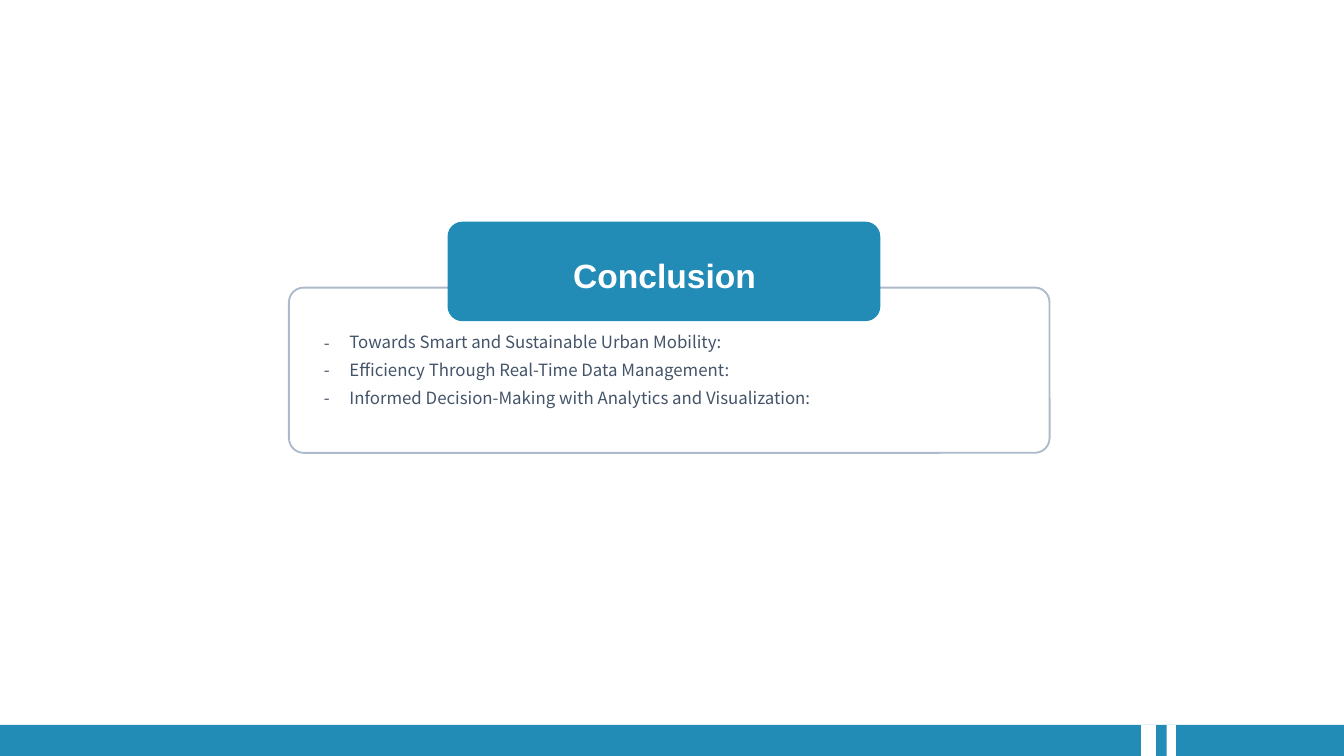
from lxml import etree
from pptx import Presentation
from pptx import util as u
from pptx.dml.color import RGBColor
from pptx.enum import shapes, text
from pptx.oxml.ns import qn

BLUE, WHITE, BORDER, INK = "228BB6", "FFFFFF", "ADBACA", "445469"
BODY_FONT = "Noto Sans CJK SC"
TITLE = "Conclusion"
POINTS = [
    "Towards Smart and Sustainable Urban Mobility:",
    "Efficiency Through Real-Time Data Management:",
    "Informed Decision-Making with Analytics and Visualization:",
]
PAGE_WIDTH = 10
PAGE_HEIGHT = PAGE_WIDTH * 9 / 16
BAR_HEIGHT = 0.23
BAR_TOP = PAGE_HEIGHT - BAR_HEIGHT
STRIPES = [(8.49, 0.11), (8.68, 0.07)]
FRAME = (2.15, 2.14, 5.66, 1.23)
BADGE = (3.33, 1.65, 3.22, 0.74)
CORNER = 0.11


def color(value):
    return RGBColor.from_string(value)


def place(shape, left, top, width, height):
    shape.left, shape.top = u.Inches(left), u.Inches(top)
    shape.width, shape.height = u.Inches(width), u.Inches(height)


def add_box(page, area, fill=None, line=None, radius=0):
    kind = shapes.MSO_SHAPE.ROUNDED_RECTANGLE if radius else shapes.MSO_SHAPE.RECTANGLE
    box = page.shapes.add_shape(kind, *map(u.Inches, area))
    box.shadow.inherit = False
    if radius:
        box.adjustments[0] = radius / min(area[2:])
    if fill:
        box.fill.solid()
        box.fill.fore_color.rgb = color(fill)
    else:
        box.fill.background()
    if line:
        box.line.color.rgb = color(line)
        box.line.width = u.Pt(1)
    else:
        box.line.fill.background()
    return box


def write(para, words, font, size, ink, bold=False, align=text.PP_ALIGN.LEFT,
          spacing=1, before=0, bullet=None, indent=0):
    para.alignment, para.line_spacing, para.space_before = align, spacing, u.Pt(before)
    span = para.add_run()
    span.text = words
    span.font.name, span.font.size, span.font.bold = font, u.Pt(size), bold
    span.font.color.rgb = color(ink)
    if bullet:
        props = para._p.get_or_add_pPr()
        props.set("marL", str(u.Inches(indent)))
        props.set("indent", str(-u.Inches(indent)))
        etree.SubElement(props, qn("a:buFont")).set("typeface", font)
        etree.SubElement(props, qn("a:buChar")).set("char", bullet)


deck = Presentation()
deck.slide_width, deck.slide_height = u.Inches(PAGE_WIDTH), u.Inches(PAGE_HEIGHT)
page = deck.slides.add_slide(deck.slide_layouts[1])
title, body = page.placeholders

add_box(page, (0, BAR_TOP, PAGE_WIDTH, BAR_HEIGHT), fill=BLUE)
for left, width in STRIPES:
    add_box(page, (left, BAR_TOP, width, BAR_HEIGHT), fill=WHITE)
frame = add_box(page, FRAME, line=BORDER, radius=CORNER)
badge = add_box(page, BADGE, fill=BLUE, radius=CORNER)

place(body, 2.31, 2.39, 5.36, 0.71)
frame._element.addnext(body._element)
body.text_frame.auto_size = text.MSO_AUTO_SIZE.NONE
for index, point in enumerate(POINTS):
    para = body.text_frame.add_paragraph() if index else body.text_frame.paragraphs[0]
    write(para, point, BODY_FONT, 9, INK, spacing=1.2, before=1.8, bullet="-", indent=0.19)

place(title, 3.62, 1.85, 2.65, 0.4)
badge._element.addnext(title._element)
title.fill.solid()
title.fill.fore_color.rgb = color(BLUE)
title.text_frame.auto_size = text.MSO_AUTO_SIZE.NONE
title.text_frame.vertical_anchor = text.MSO_ANCHOR.MIDDLE
write(title.text_frame.paragraphs[0], TITLE, "Arial", 18, WHITE, bold=True,
      align=text.PP_ALIGN.CENTER)

deck.save("out.pptx")
